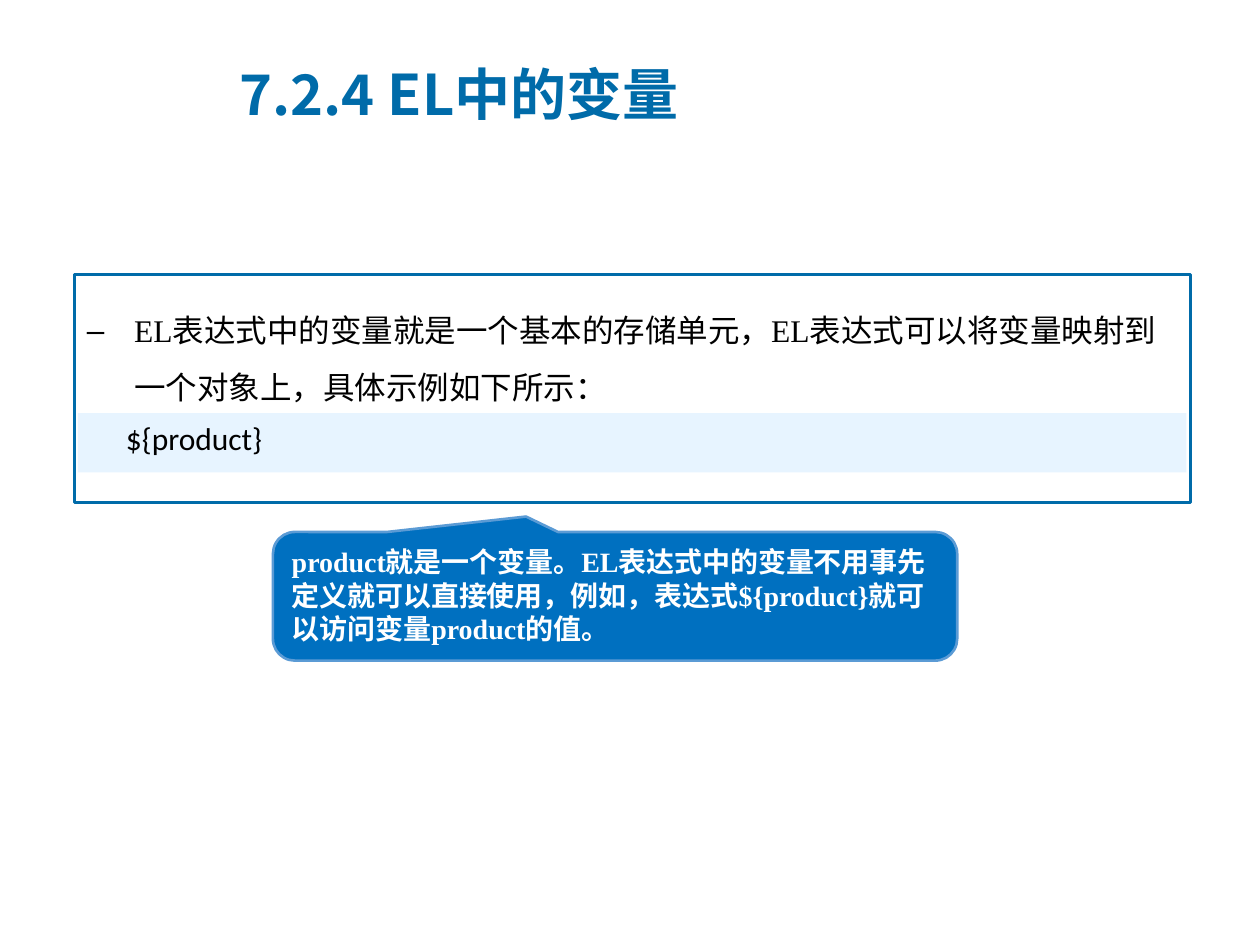
from dataclasses import dataclass

from lxml.etree import SubElement
from pptx import Presentation
from pptx.dml.color import RGBColor
from pptx.enum.shapes import MSO_SHAPE as Shape
from pptx.enum.text import MSO_ANCHOR as Anchor, MSO_AUTO_SIZE as AutoSize, PP_ALIGN as Align
from pptx.oxml.ns import qn
from pptx.util import Pt


@dataclass(frozen=True)
class Theme:
    heading: str = "006BA9"
    ink: str = "000000"
    white: str = "FFFFFF"
    code_fill: str = "E7F4FF"
    callout_fill: str = "0070C0"
    callout_line: str = "5B9BD5"
    title_size: int = 32
    body_size: int = 18
    callout_size: int = 16
    line_width: float = 1.5
    cjk: str = "Noto Sans CJK SC"
    serif: str = "Times New Roman"
    sans: str = "Calibri"


THEME = Theme()


def place(item, box):
    item.left, item.top, item.width, item.height = (Pt(value) for value in box)


def write(item, text, font, size, color, bold=False, anchor=Anchor.TOP):
    """Set one left-aligned paragraph and return it."""
    frame = item.text_frame
    frame.text = text
    frame.word_wrap = True
    frame.auto_size = AutoSize.NONE
    frame.vertical_anchor = anchor
    para = frame.paragraphs[0]
    para.alignment = Align.LEFT
    span = para.runs[0]
    span.font.name, span.font.size, span.font.bold = font, Pt(size), bold
    span.font.color.rgb = RGBColor.from_string(color)
    SubElement(span.font._element, qn("a:ea"), typeface=THEME.cjk)
    return para


def add_panel(page, kind, box, fill=None, line=None):
    panel = page.shapes.add_shape(kind, *(Pt(value) for value in box))
    panel.shadow.inherit = False
    if fill:
        panel.fill.solid()
        panel.fill.fore_color.rgb = RGBColor.from_string(fill)
    else:
        panel.fill.background()
    if line:
        panel.line.color.rgb = RGBColor.from_string(line)
        panel.line.width = Pt(THEME.line_width)
    else:
        panel.line.fill.background()
    return panel


def fill_title(page, box):
    title = page.shapes.title
    place(title, box)
    write(title, "7.2.4 EL中的变量", THEME.cjk, THEME.title_size,
          THEME.heading, bold=True, anchor=Anchor.MIDDLE)


def add_explanation(page, box):
    """Framed region: a dash item above a code band."""
    left, top, width, height = box
    body = page.placeholders[1]
    place(body, (left, top + 6.5, width, 67))
    para = write(body, "EL表达式中的变量就是一个基本的存储单元，EL表达式可以将变量映射到一个对象上，具体示例如下所示：",
                 THEME.serif, THEME.body_size, THEME.ink)
    para.line_spacing = 1.5
    para.space_before = Pt(0.2 * THEME.body_size)
    props = para._p.get_or_add_pPr()
    props.set("marL", str(Pt(27)))
    props.set("indent", str(Pt(-27)))
    SubElement(props, qn("a:buChar"), char="–")

    add_panel(page, Shape.RECTANGLE, box, line=THEME.heading)

    code = add_panel(page, Shape.RECTANGLE, (left + 2, top + 79, width - 4.5, 34),
                     fill=THEME.code_fill)
    write(code, "${product}", THEME.sans, THEME.body_size, THEME.ink)
    code.text_frame.margin_left = Pt(27.5)


def add_callout(page, box):
    callout = add_panel(page, Shape.ROUNDED_RECTANGULAR_CALLOUT, box,
                        THEME.callout_fill, THEME.callout_line)
    for index, value in enumerate((-0.13, -0.62, 0.17)):
        callout.adjustments[index] = value
    write(callout, "product就是一个变量。EL表达式中的变量不用事先定义就可以直接使用，例如，表达式${product}就可以访问变量product的值。",
          THEME.serif, THEME.callout_size, THEME.white, bold=True)


def main():
    deck = Presentation()
    deck.slide_width, deck.slide_height = Pt(720), Pt(540)
    page = deck.slides.add_slide(deck.slide_layouts[1])
    fill_title(page, (129.6, 31, 488, 44))
    add_explanation(page, (42.5, 157, 638, 130.3))
    add_callout(page, (156, 304, 391, 73.5))
    deck.save("out.pptx")


if __name__ == "__main__":
    main()
